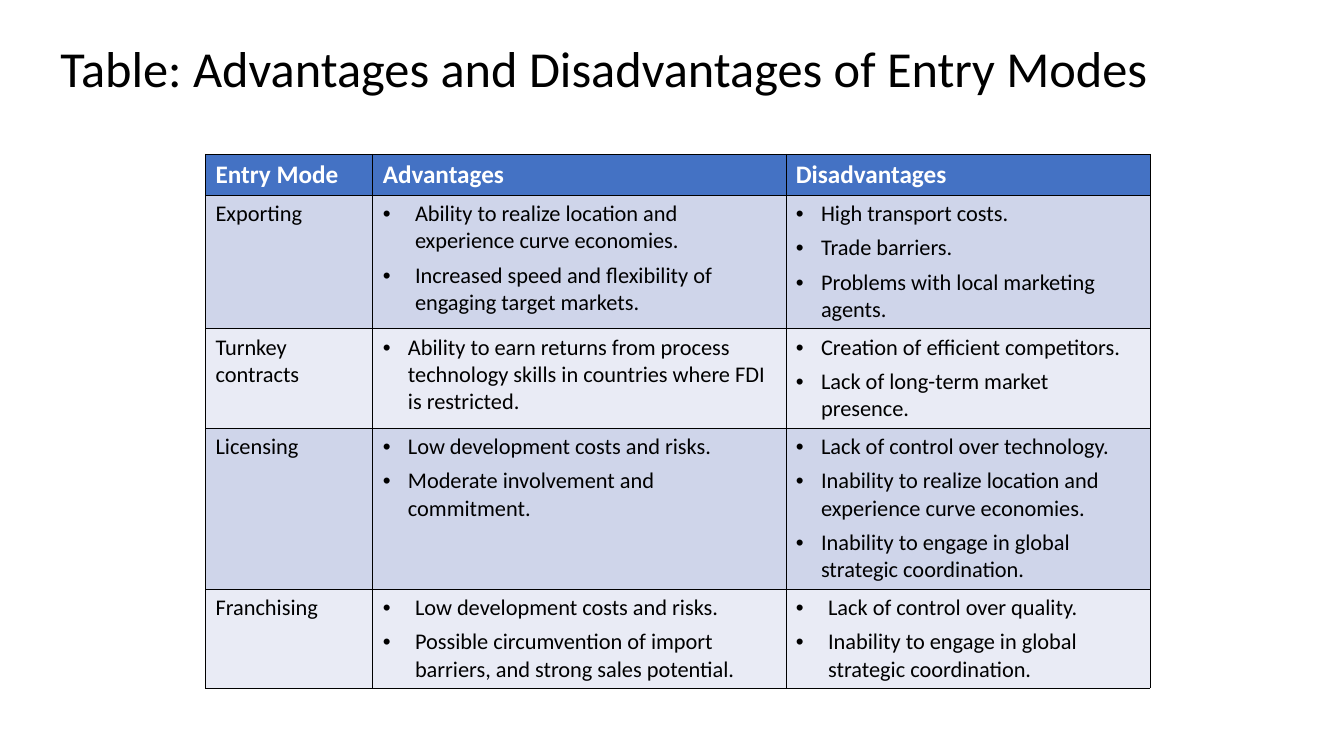
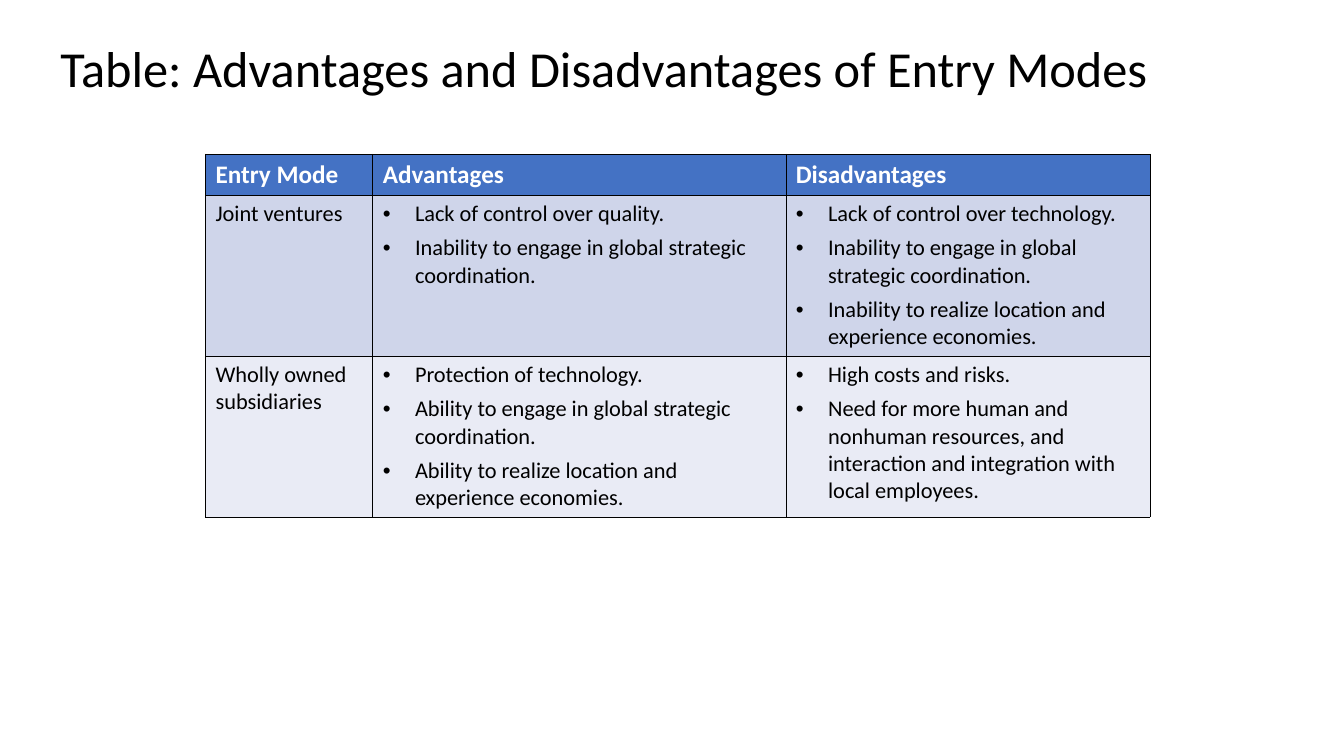
from lxml.etree import SubElement
from pptx import Presentation
from pptx.dml.color import RGBColor
from pptx.enum.text import MSO_ANCHOR, MSO_AUTO_SIZE, PP_ALIGN
from pptx.oxml import parse_xml
from pptx.oxml.ns import nsdecls, qn
from pptx.util import Inches, Pt

SLIDE_WIDTH, SLIDE_HEIGHT = Inches(13.34), Inches(7.5)
FONT = "Calibri"
BLACK, WHITE = "000000", "FFFFFF"
HEADER_FILL = "4472C4"
BAND_FILLS = ("CFD5EA", "E9EBF5")
BORDER_WIDTH = Pt(0.45)
NARROW, WIDE = Inches(0.25), Inches(0.32)

TITLE = "Table: Advantages and Disadvantages of Entry Modes"
TITLE_BOX = (3.75, 2.13, 92.43, 14.53)
TABLE_CORNER = (15.29, 20.4)
COLUMN_SHARES = (12.44, 30.74, 27.1)
HEADER_SHARE = 5.4
HEADINGS = ("Entry Mode", "Advantages", "Disadvantages")

FIRST_MODES = [
    (17.47, "Exporting",
     (WIDE, ["Ability to realize location and experience curve economies.",
             "Increased speed and flexibility of engaging target markets."]),
     (NARROW, ["High transport costs.", "Trade barriers.",
               "Problems with local marketing agents."])),
    (12.93, "Turnkey contracts",
     (NARROW, ["Ability to earn returns from process technology skills "
               "in countries where FDI is restricted."]),
     (NARROW, ["Creation of efficient competitors.",
               "Lack of long-term market presence."])),
    (20.93, "Licensing",
     (NARROW, ["Low development costs and risks.",
               "Moderate involvement and commitment."]),
     (NARROW, ["Lack of control over technology.",
               "Inability to realize location and experience curve economies.",
               "Inability to engage in global strategic coordination."])),
    (12.93, "Franchising",
     (WIDE, ["Low development costs and risks.",
             "Possible circumvention of import barriers, "
             "and strong sales potential."]),
     (WIDE, ["Lack of control over quality.",
             "Inability to engage in global strategic coordination."])),
]
SECOND_MODES = [
    (20.93, "Joint ventures",
     (WIDE, ["Lack of control over quality.",
             "Inability to engage in global strategic coordination."]),
     (WIDE, ["Lack of control over technology.",
             "Inability to engage in global strategic coordination.",
             "Inability to realize location and experience economies."])),
    (20.93, "Wholly owned subsidiaries",
     (WIDE, ["Protection of technology.",
             "Ability to engage in global strategic coordination.",
             "Ability to realize location and experience economies."]),
     (WIDE, ["High costs and risks.",
             "Need for more human and nonhuman resources, and interaction "
             "and integration with local employees."])),
]


def across(percent):
    return round(SLIDE_WIDTH * percent / 100)


def down(percent):
    return round(SLIDE_HEIGHT * percent / 100)


def color(hex_string):
    return RGBColor.from_string(hex_string)


def style(paragraph, size, hex_string, bold=False):
    font = paragraph.font
    font.name, font.size, font.bold = FONT, Pt(size), bold
    font.color.rgb = color(hex_string)


def add_bullet(paragraph, indent):
    properties = paragraph._p.get_or_add_pPr()
    properties.set("marL", str(indent))
    properties.set("indent", str(-indent))
    SubElement(properties, qn("a:buFont"), typeface="Arial")
    SubElement(properties, qn("a:buChar"), char="•")


def format_cell(cell, fill):
    cell.fill.solid()
    cell.fill.fore_color.rgb = color(fill)
    properties = cell._tc.get_or_add_tcPr()
    for position, side in enumerate(("lnL", "lnR", "lnT", "lnB")):
        properties.insert(position, parse_xml(
            f'<a:{side} {nsdecls("a")} w="{BORDER_WIDTH}"><a:solidFill>'
            f'<a:srgbClr val="{BLACK}"/></a:solidFill></a:{side}>'))


def fill_label(cell, text, size, hex_string, fill, bold=False):
    format_cell(cell, fill)
    cell.text = text
    style(cell.text_frame.paragraphs[0], size, hex_string, bold)


def fill_list(cell, indent, items, fill):
    format_cell(cell, fill)
    frame = cell.text_frame
    for index, item in enumerate(items):
        paragraph = frame.add_paragraph() if index else frame.paragraphs[0]
        paragraph.text = item
        if index:
            paragraph.space_before = Pt(5)
        add_bullet(paragraph, indent)
        style(paragraph, 16, BLACK)


def place_title(page, box):
    title = page.shapes.title
    left, top, width, height = box
    title.left, title.top = across(left), down(top)
    title.width, title.height = across(width), down(height)
    frame = title.text_frame
    frame.text = TITLE
    frame.auto_size = MSO_AUTO_SIZE.NONE
    frame.vertical_anchor = MSO_ANCHOR.MIDDLE
    paragraph = frame.paragraphs[0]
    paragraph.alignment = PP_ALIGN.LEFT
    paragraph.line_spacing = 0.9
    style(paragraph, 36, BLACK)


def place_table(page, corner, modes):
    row_shares = [HEADER_SHARE] + [mode[0] for mode in modes]
    left, top = corner
    table = page.shapes.add_table(
        len(row_shares), len(COLUMN_SHARES), across(left), down(top),
        across(sum(COLUMN_SHARES)), down(sum(row_shares))).table
    for column, share in zip(table.columns, COLUMN_SHARES):
        column.width = across(share)
    for row, share in zip(table.rows, row_shares):
        row.height = down(share)
    for column, heading in enumerate(HEADINGS):
        fill_label(table.cell(0, column), heading, 18, WHITE, HEADER_FILL, True)
    for index, (_, name, *lists) in enumerate(modes):
        fill = BAND_FILLS[index % 2]
        fill_label(table.cell(index + 1, 0), name, 16, BLACK, fill)
        for column, (indent, items) in enumerate(lists, 1):
            fill_list(table.cell(index + 1, column), indent, items, fill)


def add_table_page(deck, modes):
    page = deck.slides.add_slide(deck.slide_layouts.get_by_name("Title Only"))
    place_title(page, TITLE_BOX)
    place_table(page, TABLE_CORNER, modes)


def main():
    deck = Presentation()
    deck.slide_width, deck.slide_height = SLIDE_WIDTH, SLIDE_HEIGHT
    for modes in (FIRST_MODES, SECOND_MODES):
        add_table_page(deck, modes)
    deck.save("out.pptx")


if __name__ == "__main__":
    main()
